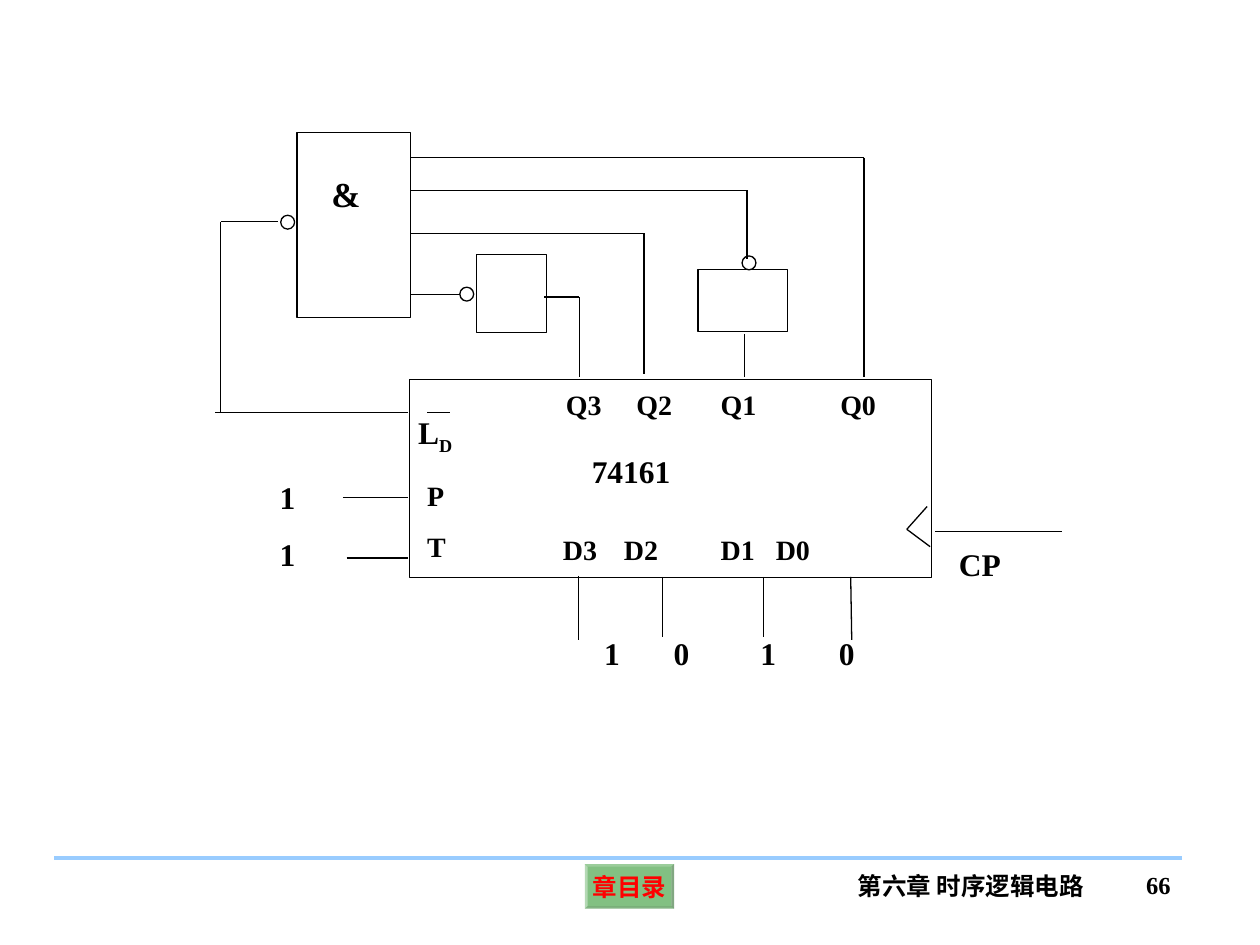
"""Build a slide showing a 74161 counter with its feedback logic."""
from itertools import pairwise
from lxml.etree import SubElement
from pptx import Presentation
from pptx.dml.color import RGBColor
from pptx.enum.shapes import MSO_CONNECTOR, MSO_SHAPE
from pptx.enum.text import MSO_ANCHOR, PP_ALIGN
from pptx.oxml.ns import qn
from pptx.util import Cm, Pt

COLORS = {"ink": "000000", "paper": "FFFFFF", "rule": "99CCFF",
          "button": "008000", "link": "FF0000"}
FONT = "Times New Roman"
TIGHT, WIDE = (0.2, 0.1), (0.25, 0.13)
JUST, MID, RIGHT = PP_ALIGN.JUSTIFY, PP_ALIGN.CENTER, PP_ALIGN.RIGHT

BOXES = [
    (8.26, 7.65, 10.52, 3.99),
    (5.99, 2.67, 2.29, 3.73),
    (9.6, 5.13, 1.42, 1.57),
    (14.07, 5.44, 1.8, 1.24),
]
DOT = 0.28
DOTS = [(9.27, 5.79), (14.96, 5.16), (5.66, 4.34)]

WIRES = {
    "D3": [(11.66, 11.61), (11.66, 12.9)],
    "D2": [(13.36, 11.63), (13.36, 12.85)],
    "D1": [(15.39, 11.63), (15.39, 12.85)],
    "D0": [(17.15, 11.63), (17.17, 12.9)],
    "Q3": [(10.97, 5.99), (11.68, 5.99), (11.68, 7.59)],
    "Q3 inverted": [(8.28, 5.94), (9.27, 5.94)],
    "Q2": [(8.28, 4.7), (12.98, 4.7), (12.98, 7.54)],
    "Q1": [(15.01, 6.73), (15.01, 7.59)],
    "Q1 inverted": [(8.28, 3.84), (15.06, 3.84), (15.06, 5.23)],
    "Q0": [(8.28, 3.18), (17.42, 3.18), (17.42, 7.59)],
    "load": [(4.34, 8.31), (8.23, 8.31)],
    "feedback": [(4.45, 8.31), (4.45, 4.47), (5.61, 4.47)],
    "P": [(6.91, 10.03), (8.23, 10.03)],
    "T": [(6.99, 11.25), (8.23, 11.25)],
    "clock": [(18.85, 10.72), (21.41, 10.72)],
    "clock edge": [(18.69, 10.21), (18.28, 10.67), (18.75, 11.02)],
    "overbar": [(8.61, 8.31), (9.07, 8.31)],
}

LABELS = [
    ("第六章 时序逻辑电路", (16.92, 17.42, 5.31, 1.27), 14, WIDE, MID, 0, []),
    ("66", (21.67, 17.4, 2.18, 1.27), 14, WIDE, RIGHT, 0, []),
    ("D3\tD2\tD1\tD0", (11.15, 10.64, 6.48, 1.04), 16, TIGHT, JUST, 0,
     [1.23, 3.18, 4.29]),
    ("\tQ3\tQ2\tQ1\tQ0", (10.8, 7.72, 7.65, 1.32), 16, TIGHT, JUST, 0,
     [0.41, 1.83, 3.53, 5.94]),
    ("&", (6.48, 3.38, 1.55, 1.85), 20, TIGHT, JUST, 0, []),
    ("L_D", (8.23, 8.23, 1.83, 1.17), 18, TIGHT, JUST, 0, []),
    ("P\nT", (8.41, 9.55, 0.99, 2.03), 16, TIGHT, JUST, 10, []),
    ("1\n1", (5.44, 9.53, 1.96, 3.15), 18, TIGHT, JUST, 11.2, []),
    ("74161", (11.68, 8.99, 4.83, 1.37), 18, WIDE, JUST, 0, []),
    ("CP", (19.08, 10.85, 2.21, 1.52), 18, WIDE, JUST, 0, []),
    ("\t1\t0\t1\t0", (9.75, 12.65, 9.14, 1.42), 18, WIDE, JUST, 0,
     [2.18, 3.58, 5.33, 6.91]),
]


def color(name):
    return RGBColor.from_string(COLORS[name])


def draw_shape(slide, kind, place):
    shape = slide.shapes.add_shape(kind, *map(Cm, place))
    shape.shadow.inherit = False
    shape.fill.solid()
    shape.fill.fore_color.rgb = color("paper")
    shape.line.color.rgb = color("ink")
    shape.line.width = Pt(0.75)
    return shape


def draw_line(slide, start, end, ink="ink", width=0.75):
    line = slide.shapes.add_connector(
        MSO_CONNECTOR.STRAIGHT, *map(Cm, (*start, *end)))
    line.line.color.rgb = color(ink)
    line.line.width = Pt(width)
    SubElement(line._element.spPr, qn("a:effectLst"))


def style_run(run, size, ink="ink"):
    run.font.name = FONT
    run.font.size = Pt(size)
    run.font.bold = True
    run.font.color.rgb = color(ink)


def add_label(slide, text, place, size, pad, align, gap, stops):
    frame = slide.shapes.add_textbox(*map(Cm, place)).text_frame
    frame.word_wrap = True
    frame.margin_left = frame.margin_right = Cm(pad[0])
    frame.margin_top = frame.margin_bottom = Cm(pad[1])
    main, _, sub = text.partition("_")
    frame.text = main
    if sub:
        run = frame.paragraphs[0].add_run()
        run.text = sub
        run._r.get_or_add_rPr().set("baseline", "-25000")
    for index, para in enumerate(frame.paragraphs):
        if stops:
            tabs = SubElement(para._p.get_or_add_pPr(), qn("a:tabLst"))
            for stop in stops:
                SubElement(tabs, qn("a:tab"), pos=str(Cm(stop)), algn="l")
        para.alignment = align
        if index:
            para.space_before = Pt(gap)
        for run in para.runs:
            style_run(run, size)


def add_button(slide):
    shape = draw_shape(slide, MSO_SHAPE.BEVEL, (11.79, 17.42, 1.8, 0.9))
    shape.adjustments[0] = 0.06
    shape.fill.fore_color.rgb = color("button")
    shape.line.fill.background()
    tint = shape._element.spPr.find(qn("a:solidFill"))[0]
    SubElement(tint, qn("a:alpha"), val="49000")
    frame = shape.text_frame
    frame.word_wrap = False
    frame.vertical_anchor = MSO_ANCHOR.MIDDLE
    frame.margin_left = frame.margin_right = Cm(0.1)
    frame.margin_top = frame.margin_bottom = Cm(0.1)
    frame.text = "章目录"
    frame.paragraphs[0].alignment = MID
    style_run(frame.paragraphs[0].runs[0], 14, "link")


def main():
    deck = Presentation()
    deck.slide_width, deck.slide_height = Cm(25.4), Cm(19.05)
    slide = deck.slides.add_slide(deck.slide_layouts[6])
    add_button(slide)
    draw_line(slide, (1.09, 17.3), (23.83, 17.3), "rule", 2.25)
    for place in BOXES:
        draw_shape(slide, MSO_SHAPE.RECTANGLE, place)
    for spot in DOTS:
        draw_shape(slide, MSO_SHAPE.OVAL, (*spot, DOT, DOT))
    for points in WIRES.values():
        for start, end in pairwise(points):
            draw_line(slide, start, end)
    for label in LABELS:
        add_label(slide, *label)
    deck.save("out.pptx")


if __name__ == "__main__":
    main()
